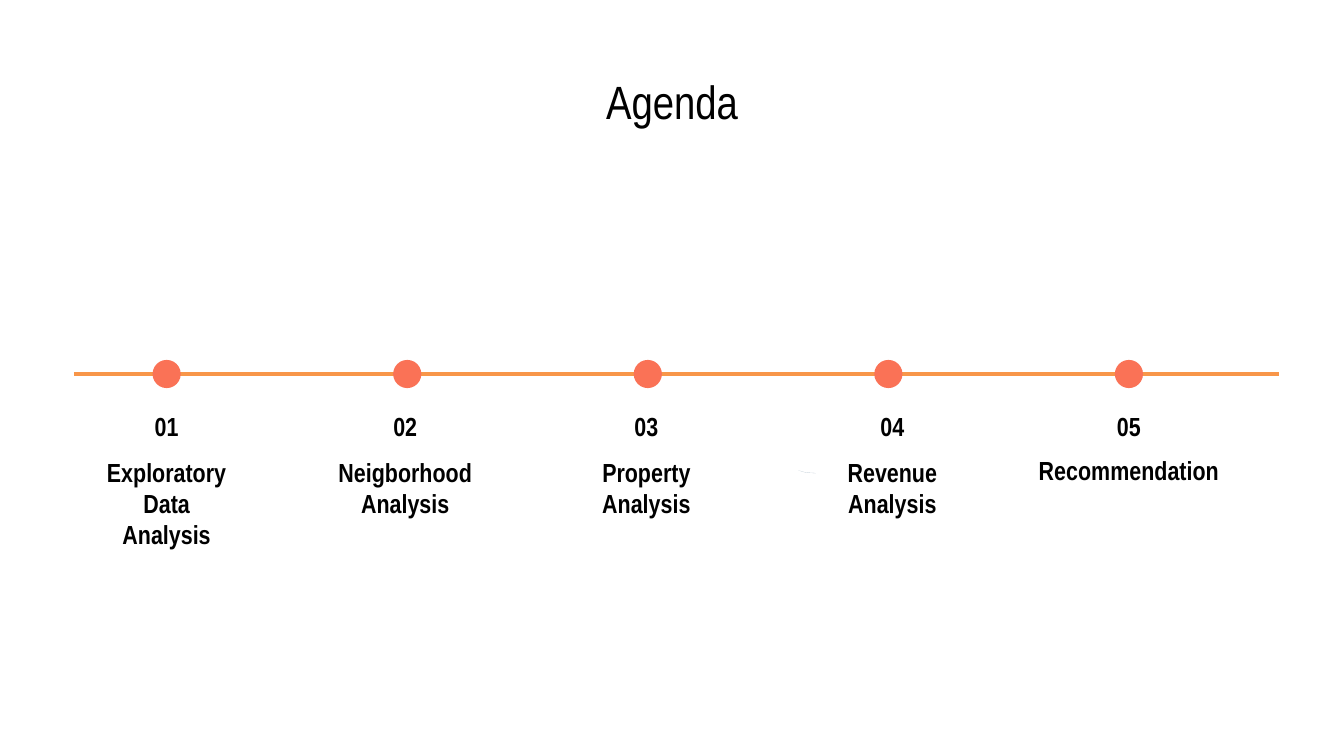
from collections import namedtuple
from dataclasses import dataclass

from lxml import etree
from pptx import Presentation
from pptx.dml.color import RGBColor
from pptx.enum import shapes, text
from pptx import util as u

Box = namedtuple("Box", "x y w h")
Step = namedtuple("Step", "label number_width label_width shift drop")

COLS, ROWS = 100, 56.25
CELL = u.Inches(0.1)

STEPS = [
    Step("Exploratory Data Analysis", 11, 11, 0, 0),
    Step("Neigborhood Analysis", 12.5, 12.5, -0.15, 0),
    Step("Property Analysis", 11, 11, -0.1, 0),
    Step("Revenue Analysis", 11, 11, 0.3, 0),
    Step("Recommendation", 11, 15.6, 0, -0.1),
]


@dataclass(frozen=True)
class Theme:
    """Colours, font and type sizes of the slide."""
    font: str = "Arial Narrow"
    ink: RGBColor = RGBColor(0x00, 0x00, 0x00)
    paper: RGBColor = RGBColor(0xFF, 0xFF, 0xFF)
    line: RGBColor = RGBColor(0xF8, 0x96, 0x49)
    dot: RGBColor = RGBColor(0xFA, 0x72, 0x56)
    sliver: RGBColor = RGBColor(0xA5, 0xB7, 0xC5)
    title_size: u.Pt = u.Pt(25)
    body_size: u.Pt = u.Pt(14)
    line_width: u.Pt = u.Pt(2.25)


THEME = Theme()


def cells(*values):
    """Turn grid units into slide lengths."""
    return [round(v * CELL) for v in values]


def add_text(s, box, words, size, bold=False, anchor=text.MSO_ANCHOR.TOP):
    """Place one centred paragraph in a box."""
    tf = s.shapes.add_textbox(*cells(*box)).text_frame
    tf.word_wrap = True
    tf.vertical_anchor = anchor
    tf.margin_left = tf.margin_right = tf.margin_top = tf.margin_bottom = CELL
    p = tf.paragraphs[0]
    p.text = words
    p.alignment = text.PP_ALIGN.CENTER
    p.font.name, p.font.size, p.font.bold = THEME.font, size, bold
    p.font.color.rgb = THEME.ink


def paint(sp, colour):
    """Give a shape a plain fill without line or shadow."""
    sp.shadow.inherit = False
    sp.fill.solid()
    sp.fill.fore_color.rgb = colour
    sp.line.fill.background()


def add_sliver(s, box):
    """Draw the thin curved sliver inside a box."""
    curve = [(0, 0), (0.33, 0.6), (0.67, 0.9), (1, 1), (0.67, 0.95), (0.33, 0.65)]
    points = [cells(box.x + a * box.w, box.y + b * box.h) for a, b in curve]
    builder = s.shapes.build_freeform(*points[0])
    builder.add_line_segments(points[1:], close=True)
    paint(builder.convert_to_shape(), THEME.sliver)


def add_axis(s, box):
    """Draw the horizontal line along the top of a box."""
    ends = cells(box.x, box.y, box.x + box.w, box.y)
    line = s.shapes.add_connector(shapes.MSO_CONNECTOR.STRAIGHT, *ends)
    line.line.color.rgb = THEME.line
    line.line.width = THEME.line_width
    ns = "http://schemas.openxmlformats.org/drawingml/2006/main"
    etree.SubElement(line._element.spPr, f"{{{ns}}}effectLst")


def add_timeline(s, box, steps):
    """Draw the axis with a dot, number and label for each step."""
    first, pitch, dot, row = 6.9, 17.9, 2.1, 3.4
    add_axis(s, box)
    for i, step in enumerate(steps):
        middle = box.x + first + i * pitch
        sp = s.shapes.add_shape(
            shapes.MSO_SHAPE.OVAL,
            *cells(middle - dot / 2, box.y - dot / 2, dot, dot))
        paint(sp, THEME.dot)
        centre = middle + step.shift
        bottom = box.y + box.h
        number = Box(centre - step.number_width / 2, bottom - 2 * row,
                     step.number_width, row)
        label = Box(centre - step.label_width / 2, bottom - row + step.drop,
                    step.label_width, row)
        add_text(s, number, f"{i + 1:02}", THEME.body_size, bold=True)
        add_text(s, label, step.label, THEME.body_size, bold=True)


def add_agenda(prs):
    """Add the agenda slide."""
    s = prs.slides.add_slide(prs.slide_layouts[6])
    s.background.fill.solid()
    s.background.fill.fore_color.rgb = THEME.paper
    add_text(s, Box(5, 4.9, COLS - 10, 5.7), "Agenda", THEME.title_size,
             anchor=text.MSO_ANCHOR.BOTTOM)
    add_sliver(s, Box(59.4, 35, 1.3, 0.2))
    add_timeline(s, Box(5.5, 27.83, 89.7, 8.5), STEPS)


def main():
    """Build and save the presentation."""
    prs = Presentation()
    prs.slide_width, prs.slide_height = cells(COLS, ROWS)
    add_agenda(prs)
    prs.save("out.pptx")


if __name__ == "__main__":
    main()
